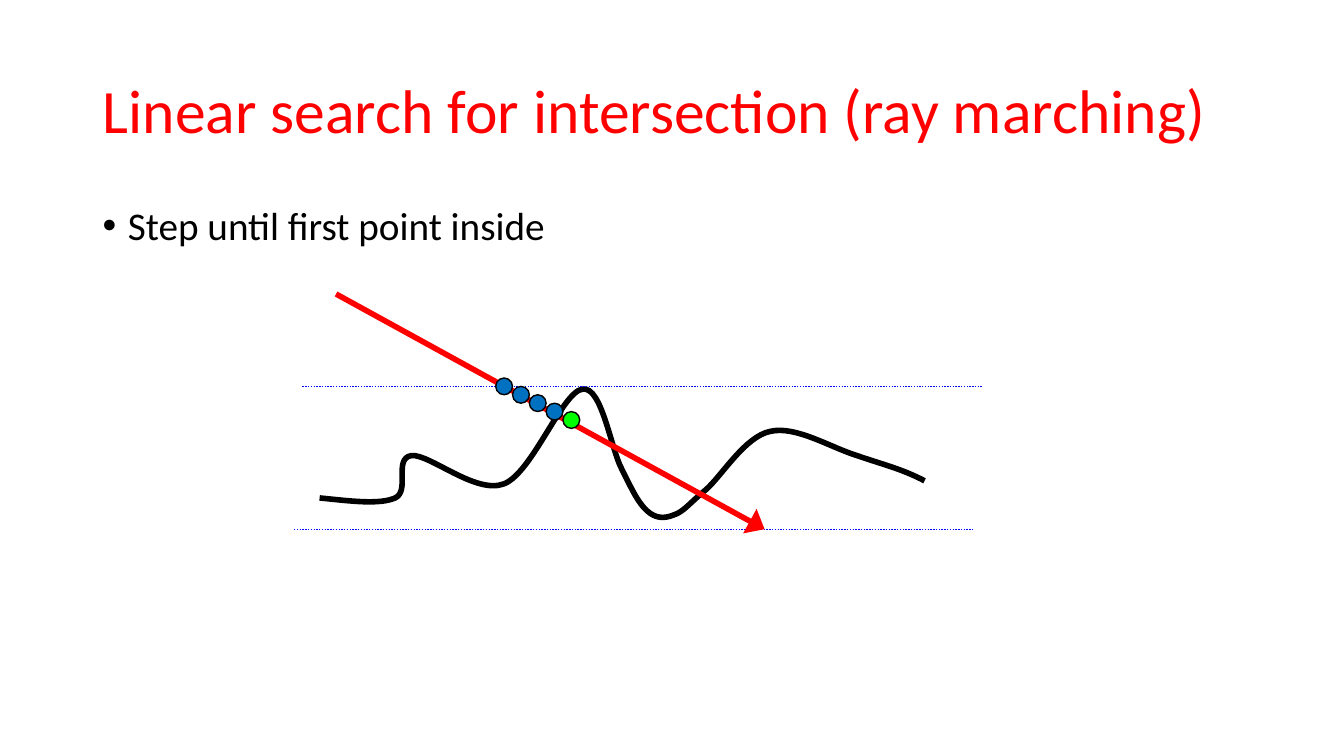
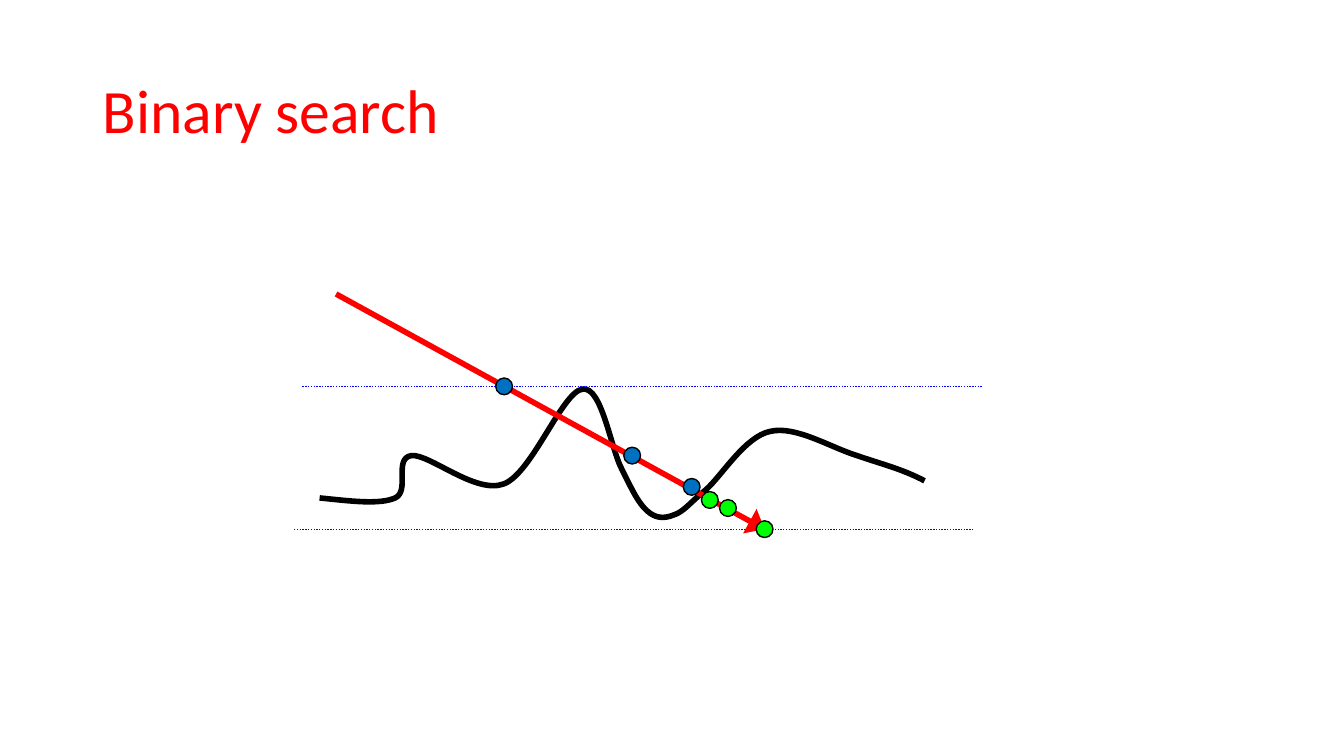
"""Build two slides on searching for a ray and height field intersection."""
from dataclasses import dataclass

from lxml.etree import SubElement
from pptx import Presentation
from pptx.dml.color import RGBColor
from pptx.enum.dml import MSO_LINE
from pptx.enum.shapes import MSO_CONNECTOR, MSO_SHAPE
from pptx.enum.text import MSO_ANCHOR, MSO_AUTO_SIZE, PP_ALIGN
from pptx.oxml.ns import qn
from pptx.util import Inches, Pt


@dataclass(frozen=True)
class Theme:
    """Colours, font and sizes shared by the slides."""
    red: RGBColor = RGBColor(0xFF, 0, 0)
    black: RGBColor = RGBColor(0, 0, 0)
    bound: RGBColor = RGBColor(0, 0, 0xFF)
    outside: RGBColor = RGBColor(0, 0x70, 0xC0)
    inside: RGBColor = RGBColor(0, 0xFF, 0)
    font: str = "Calibri"
    title: Pt = Pt(44)
    body: Pt = Pt(28)
    thick: Pt = Pt(4)
    thin: Pt = Pt(1)


def grid(column, row):
    """Return the point in inches on a grid of twelfths."""
    return column / 12, row / 12


THEME = Theme()
TITLE_AREA = (0.92, 0.4, 11.5, 1.45)
BODY_AREA = (0.92, 2, 11.5, 4.76)
INDENT = Inches(0.25)
DOT_SIZE = 1 / 6

SURFACE_AREA = (3.17, 3.83, 6, 1.31)
SURFACE_START = (3.17, 4.94)
SURFACE = [
    ((3.47, 4.97), (3.76, 5.01), (3.92, 4.94)),
    ((4.07, 4.87), (3.9, 4.55), (4.08, 4.52)),
    ((4.26, 4.5), (4.72, 4.91), (5, 4.8)),
    ((5.28, 4.69), (5.58, 3.88), (5.78, 3.86)),
    ((5.97, 3.83), (6.06, 4.46), (6.17, 4.66)),
    ((6.27, 4.86), (6.33, 4.99), (6.42, 5.07)),
    ((6.5, 5.14), (6.58, 5.15), (6.68, 5.11)),
    ((6.78, 5.08), (6.84, 4.99), (7, 4.86)),
    ((7.16, 4.72), (7.39, 4.33), (7.64, 4.28)),
    ((7.89, 4.22), (8.24, 4.44), (8.5, 4.52)),
    ((8.76, 4.61), (8.94, 4.65), (9.17, 4.77)),
]
BOUNDS = [(grid(36, 46), grid(117, 46)), (grid(35, 63), grid(116, 63))]
RAY = (grid(40, 35), grid(91, 63))
MARCH = [grid(60 + 2 * step, 46 + step) for step in range(5)]

SLIDES = [
    {
        "title": "Linear search for intersection (ray marching)",
        "bullet": "Step until first point inside",
        "dots": [(point, "outside") for point in MARCH[:-1]] + [(MARCH[-1], "inside")],
    },
    {
        "title": "Binary search",
        "dots": [
            (RAY[1], "inside"),
            (MARCH[0], "outside"),
            ((6.27, 4.52), "outside"),
            ((6.86, 4.83), "outside"),
            ((7.22, 5.04), "inside"),
            ((7.04, 4.96), "inside"),
        ],
    },
]


def apply(target, **values):
    """Set each named attribute of the target."""
    for name, value in values.items():
        setattr(target, name, value)


def place(shape, area):
    """Move and size a shape to an area in inches."""
    left, top, width, height = map(Inches, area)
    apply(shape, left=left, top=top, width=width, height=height)


def write(box, area, text, size, colour, anchor):
    """Place a box, fill in its text and return the paragraph."""
    place(box, area)
    frame = box.text_frame
    apply(frame, word_wrap=True, auto_size=MSO_AUTO_SIZE.NONE, vertical_anchor=anchor)
    para = frame.paragraphs[0]
    apply(para, alignment=PP_ALIGN.LEFT, line_spacing=0.9)
    span = para.add_run()
    span.text = text
    apply(span.font, name=THEME.font, size=size)
    span.font.color.rgb = colour
    return para


def add_bullet(page, text):
    """Add the bulleted body text."""
    box = page.shapes.add_textbox(*map(Inches, BODY_AREA))
    para = write(box, BODY_AREA, text, THEME.body, THEME.black, MSO_ANCHOR.TOP)
    para.space_before = Pt(10)
    props = para._p.get_or_add_pPr()
    props.set("marL", str(INDENT))
    props.set("indent", str(-INDENT))
    SubElement(props, qn("a:buFont")).set("typeface", "Arial")
    SubElement(props, qn("a:buChar")).set("char", "•")


def style_line(shape, colour, width):
    """Give a shape or connector its line colour and width."""
    shape.line.color.rgb = colour
    shape.line.width = width


def add_point(parent, point):
    """Append a path point measured from the corner of the surface area."""
    node = SubElement(parent, qn("a:pt"))
    for axis, value, origin in zip("xy", point, SURFACE_AREA):
        node.set(axis, str(Inches(value - origin)))


def add_surface(page):
    """Draw the height field as an open path of cubic curves."""
    builder = page.shapes.build_freeform(*map(Inches, SURFACE_START))
    builder.add_line_segments([tuple(map(Inches, SURFACE[-1][-1]))], close=False)
    curve = builder.convert_to_shape()
    place(curve, SURFACE_AREA)
    outline = next(curve._element.iter(qn("a:path")))
    for child in list(outline):
        outline.remove(child)
    for name, value in zip("wh", SURFACE_AREA[2:]):
        outline.set(name, str(Inches(value)))
    add_point(SubElement(outline, qn("a:moveTo")), SURFACE_START)
    for segment in SURFACE:
        bend = SubElement(outline, qn("a:cubicBezTo"))
        for point in segment:
            add_point(bend, point)
    curve.shadow.inherit = False
    curve.fill.background()
    style_line(curve, THEME.black, THEME.thick)


def add_line(page, ends, colour, width, dash=None, arrow=False):
    """Draw a straight line, dotted or with an arrowhead if asked."""
    (x1, y1), (x2, y2) = ends
    line = page.shapes.add_connector(
        MSO_CONNECTOR.STRAIGHT, *map(Inches, (x1, y1, x2, y2)))
    style_line(line, colour, width)
    if dash:
        line.line.dash_style = dash
    if arrow:
        head = SubElement(line.line._get_or_add_ln(), qn("a:tailEnd"))
        for name, value in {"type": "triangle", "w": "lg", "len": "med"}.items():
            head.set(name, value)
    SubElement(line._element.spPr, qn("a:effectLst"))


def add_dot(page, centre, colour):
    """Draw one sample point around its centre."""
    left, top = (Inches(value - DOT_SIZE / 2) for value in centre)
    size = Inches(DOT_SIZE)
    dot = page.shapes.add_shape(MSO_SHAPE.OVAL, left, top, size, size)
    dot.shadow.inherit = False
    dot.fill.solid()
    dot.fill.fore_color.rgb = colour
    style_line(dot, THEME.black, THEME.thin)


def add_page(deck, content):
    """Add one slide with its title, diagram and sample points."""
    page = deck.slides.add_slide(deck.slide_layouts.get_by_name("Title Only"))
    write(page.shapes.title, TITLE_AREA, content["title"], THEME.title, THEME.red,
          MSO_ANCHOR.MIDDLE)
    if "bullet" in content:
        add_bullet(page, content["bullet"])
    add_surface(page)
    for ends in BOUNDS:
        add_line(page, ends, THEME.bound, THEME.thin, dash=MSO_LINE.ROUND_DOT)
    add_line(page, RAY, THEME.red, THEME.thick, arrow=True)
    for centre, side in content["dots"]:
        add_dot(page, centre, getattr(THEME, side))


def main():
    """Build and save the deck."""
    deck = Presentation()
    apply(deck, slide_width=Inches(13.33), slide_height=Inches(7.5))
    for content in SLIDES:
        add_page(deck, content)
    deck.save("out.pptx")


if __name__ == "__main__":
    main()
